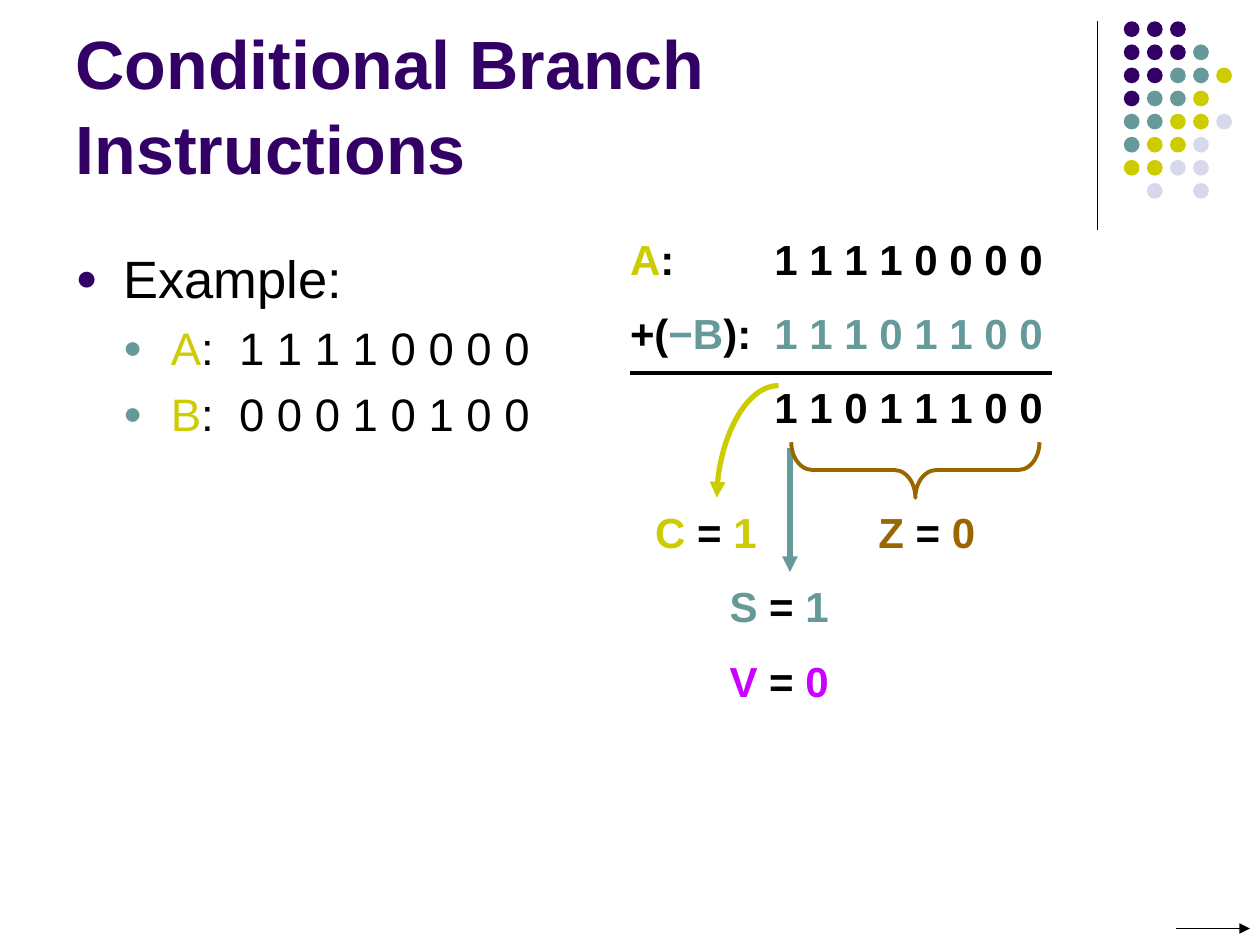
import pptx
import pptx.dml.color
import pptx.enum.shapes
import pptx.enum.text
import pptx.oxml
import pptx.oxml.ns
import pptx.util

Pt = pptx.util.Pt
CONNECTOR = pptx.enum.shapes.MSO_CONNECTOR
SHAPE = pptx.enum.shapes.MSO_SHAPE
ANCHOR = pptx.enum.text.MSO_ANCHOR
NS = pptx.oxml.ns.nsdecls("a")

BLACK, PURPLE, TEAL, LIME = "000000", "330066", "669999", "CCCC00"
LILAC, BROWN, MAGENTA = "D8D8EC", "996600", "CC00FF"
DOT_COLOURS = {"P": PURPLE, "T": TEAL, "Y": LIME, "L": LILAC}
DOT_ROWS = ["PPP", "PPPT", "PPTTY", "PTTY", "TTYYL", "TYYL", "YYLL", ".L.L"]

TITLE_FONT = {"name": "Arial", "size": Pt(39), "bold": True}
SUM_FONT = {"name": "Arial", "size": Pt(24), "bold": True}
FLUSH_FRAME = {"margin_left": 0, "margin_right": 0, "margin_top": 0, "margin_bottom": 0,
               "vertical_anchor": ANCHOR.MIDDLE, "word_wrap": True}
PLACEHOLDER_FRAME = {"word_wrap": True, "auto_size": pptx.enum.text.MSO_AUTO_SIZE.NONE}


def rgb(colour):
    return pptx.dml.color.RGBColor.from_string(colour)


def apply(target, values):
    for name, value in values.items():
        setattr(target, name, value)


def place(shape, box):
    apply(shape, dict(zip(("left", "top", "width", "height"), map(Pt, box))))


def add_xml(parent, xml):
    parent.append(pptx.oxml.parse_xml(xml))


def write_runs(paragraph, runs, font):
    for text, colour in runs:
        run = paragraph.add_run()
        run.text = text
        apply(run.font, font)
        run.font.color.rgb = rgb(colour)


def add_line(slide, start, end, colour, weight, arrow=False, kind=CONNECTOR.STRAIGHT):
    line = slide.shapes.add_connector(kind, *map(Pt, start + end))
    line.line.color.rgb = rgb(colour)
    line.line.width = Pt(weight)
    if arrow:
        add_xml(line.line._get_or_add_ln(), f'<a:tailEnd {NS} type="triangle"/>')
    add_xml(line._element.spPr, f"<a:effectLst {NS}/>")
    return line


def add_dot_corner(slide, box):
    left, top, width, height = box
    add_line(slide, (left, top), (left, top + height), BLACK, 0.75)
    pitch, size = 13.2, 9
    first_dot = left + width - 4 * pitch - size
    for row, codes in enumerate(DOT_ROWS):
        for column, code in enumerate(codes):
            if code not in DOT_COLOURS:
                continue
            dot = slide.shapes.add_shape(
                SHAPE.OVAL, Pt(first_dot + column * pitch), Pt(top + row * pitch),
                Pt(size), Pt(size))
            dot.shadow.inherit = False
            dot.fill.solid()
            dot.fill.fore_color.rgb = rgb(DOT_COLOURS[code])
            dot.line.fill.background()


def fill_title(title, box):
    place(title, box)
    apply(title.text_frame, {**PLACEHOLDER_FRAME, "vertical_anchor": ANCHOR.BOTTOM})
    heading = title.text_frame.paragraphs[0]
    apply(heading, {"alignment": pptx.enum.text.PP_ALIGN.LEFT, "line_spacing": 1.04})
    write_runs(heading, [("Conditional Branch Instructions", PURPLE)], TITLE_FONT)


def fill_example(body, box):
    place(body, box)
    frame = body.text_frame
    apply(frame, PLACEHOLDER_FRAME)
    items = [
        (0, [("Example:", BLACK)]),
        (1, [("A", LIME), (":  1 1 1 1 0 0 0 0", BLACK)]),
        (1, [("B", LIME), (":  0 0 0 1 0 1 0 0", BLACK)]),
    ]
    for index, (level, runs) in enumerate(items):
        item = frame.add_paragraph() if index else frame.paragraphs[0]
        apply(item, {"level": level, "space_before": Pt(6.5 if index else 0)})
        properties = item._p.get_or_add_pPr()
        properties.set("marL", str(Pt(27.2 * (level + 1))))
        properties.set("indent", str(-Pt(27.2)))
        bullet_colour = (PURPLE, TEAL)[level]
        add_xml(properties, f'<a:buClr {NS}><a:srgbClr val="{bullet_colour}"/></a:buClr>')
        add_xml(properties, f'<a:buSzPct {NS} val="70000"/>')
        add_xml(properties, f'<a:buChar {NS} char="●"/>')
        write_runs(item, runs, {"name": "Arial", "size": Pt((30, 26)[level])})


def add_sum_text(slide, box, runs):
    frame = slide.shapes.add_textbox(*map(Pt, box)).text_frame
    apply(frame, FLUSH_FRAME)
    paragraph = frame.paragraphs[0]
    paragraph.line_spacing = 0.9
    if any("\t" in text for text, _ in runs):
        add_xml(paragraph._p.get_or_add_pPr(),
                f'<a:tabLst {NS}><a:tab pos="{Pt(82.5)}" algn="l"/></a:tabLst>')
    write_runs(paragraph, runs, SUM_FONT)


def add_subtraction(slide, box):
    left, top, width, height = box
    row = height / 3
    lines = [
        [("A", LIME), (":\t1 1 1 1 0 0 0 0", BLACK)],
        [("+(", BLACK), ("−B", TEAL), ("):", BLACK), ("\t1 1 1 0 1 1 0 0", TEAL)],
        [("\t1 1 0 1 1 1 0 0", BLACK)],
    ]
    for index, runs in enumerate(lines):
        add_sum_text(slide, (left, top + index * row, width, row), runs)
    rule = top + 2 * row
    add_line(slide, (left, rule), (left + width, rule), BLACK, 2.25)


def add_flags(slide, box):
    left, top, width, height = box
    flag_width, row = 70.5, 42.5
    flags_top = top + height - 3 * row
    flags = [
        ("C", "1", LIME, 0, 0),
        ("Z", "0", BROWN, 127.5, 0),
        ("S", "1", TEAL, 42.5, 1),
        ("V", "0", MAGENTA, 42.5, 2),
    ]
    for flag, value, colour, offset, step in flags:
        add_sum_text(slide, (left + offset, flags_top + step * row, flag_width, row),
                     [(flag + " ", colour), ("= ", BLACK), (value, colour)])

    carry_arrow = add_line(slide, (left + flag_width, top), (left + flag_width / 2, flags_top),
                           LIME, 3, True, CONNECTOR.CURVE)
    carry_arrow._element.spPr.prstGeom.set("prst", "curvedConnector2")
    sign_x = left + 77
    add_line(slide, (sign_x, flags_top - 28.5), (sign_x, flags_top + row), TEAL, 3, True)

    brace_width, brace_depth = 141.8, 31.7
    centre_x, centre_y = left + width - brace_width / 2, flags_top - brace_depth / 2
    brace = slide.shapes.add_shape(
        SHAPE.LEFT_BRACE, Pt(centre_x - brace_depth / 2), Pt(centre_y - brace_width / 2),
        Pt(brace_depth), Pt(brace_width))
    brace.rotation = 270
    brace.adjustments[0] = 0.38
    brace.shadow.inherit = False
    brace.fill.background()
    brace.line.color.rgb = rgb(BROWN)
    brace.line.width = Pt(2.25)


def main():
    deck = pptx.Presentation()
    apply(deck, {"slide_width": Pt(720), "slide_height": Pt(540)})
    slide = deck.slides.add_slide(deck.slide_layouts[1])
    add_dot_corner(slide, (627, 12.2, 77, 119.5))
    fill_title(slide.shapes.title, (36, 9.4, 594, 102))
    fill_example(slide.placeholders[1], (36, 137, 648, 175))
    add_subtraction(slide, (360, 128.2, 241.2, 127.5))
    add_flags(slide, (374.4, 220.3, 219.6, 191.6))
    add_line(slide, (672, 530.6), (714.2, 530.6), BLACK, 0.75, True)
    deck.save("out.pptx")


if __name__ == "__main__":
    main()
